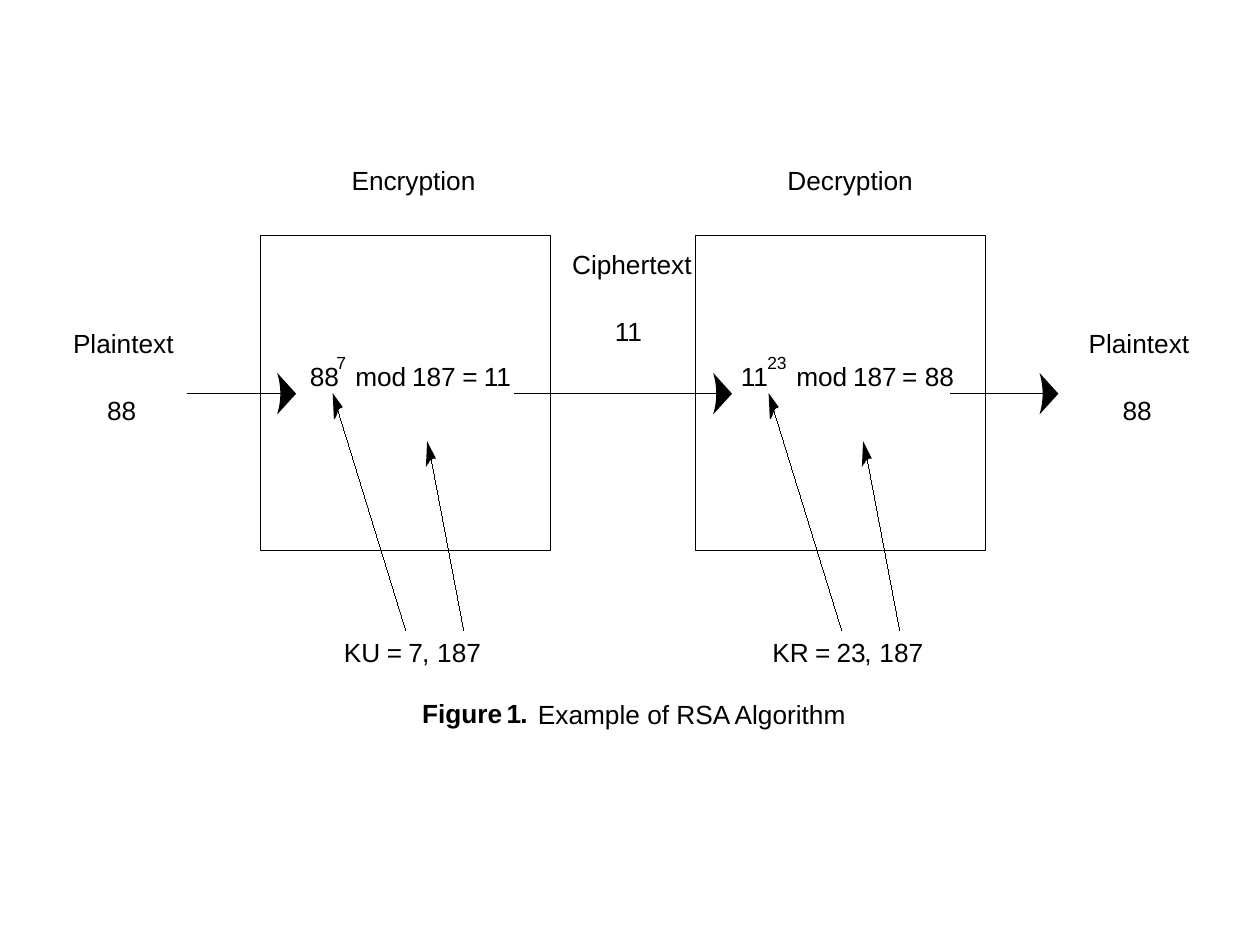
from pptx import Presentation
from pptx.dml.color import RGBColor as RGB
from pptx.enum.shapes import MSO_CONNECTOR as CONN, MSO_SHAPE as SHAPE
from pptx.enum.text import MSO_AUTO_SIZE as FIT
from pptx.oxml.ns import qn
from pptx.util import Inches, Pt
from lxml.etree import SubElement

COLORS = {"ink": "000000", "paper": "FFFFFF"}
FONT = "Arial"
STEP = 3.46
FLOW = 3.125

STEPS = [n / 8 for n in range(8, -9, -1)]
BROAD = [(-0.125 - 0.025 * t * t, 0.165 * t) for t in STEPS]
STEEP = [(0.08, 0.11), (0.07, 0.12), (0.06, 0.12), (0.05, 0.13),
         (0.04, 0.15), (0.03, 0.18), (0.02, 0.2), (0.01, 0.21)]
SLIM = [(0.07, 0.14), (0.05, 0.14), (0.03, 0.15), (0.02, 0.16),
        (0.01, 0.18), (0, 0.19), (-0.01, 0.21)]

LABELS = [
    (2.79, 1.3, 0.99, "Encryption"), (6.25, 1.3, 1, "Decryption"),
    (4.54, 1.97, 0.95, "Ciphertext"), (4.88, 2.5, 0.24, "11"),
    (0.58, 2.6, 0.8, "Plaintext"), (0.85, 3.13, 0.24, "88"),
    (8.64, 2.6, 0.8, "Plaintext"), (8.91, 3.13, 0.24, "88"),
]
ROWS = [
    (2.86, [(2.46, 0.24, "88"), (2.82, 0.46, "mod"), (3.27, 0.41, "187"),
            (3.67, 0.18, "="), (3.84, 0.24, "11")]),
    (2.86, [(5.88, 0.24, "11"), (6.32, 0.46, "mod"), (6.77, 0.41, "187"),
            (7.16, 0.18, "="), (7.34, 0.24, "88")]),
    (5.05, [(2.73, 0.35, "KU"), (3.07, 0.18, "="), (3.24, 0.12, "7"),
            (3.35, 0.12, ","), (3.47, 0.36, "187")]),
    (5.05, [(6.13, 0.35, "KR"), (6.47, 0.18, "="), (6.64, 0.24, "23"),
            (6.86, 0.12, ","), (6.98, 0.36, "187")]),
]
POWERS = [(2.67, 0.08, "7"), (6.09, 0.16, "23")]
FIGURE = [(3.35, 0.7, "Figure"), (4.02, 0.12, "1"), (4.13, 0.06, ".")]


def color(name):
    return RGB.from_string(COLORS[name])


def add_text(slide, text, x, y, w, h=0.25, size=15, bold=False):
    box = slide.shapes.add_textbox(Inches(x), Inches(y), Inches(w), Inches(h))
    frame = box.text_frame
    frame.margin_left = frame.margin_right = 0
    frame.margin_top = frame.margin_bottom = 0
    frame.word_wrap = False
    frame.auto_size = FIT.SHAPE_TO_FIT_TEXT
    run = frame.paragraphs[0].add_run()
    run.text = text
    run.font.name = FONT
    run.font.size = Pt(size)
    run.font.bold = bold
    run.font.color.rgb = color("ink")


def add_box(slide, x):
    box = slide.shapes.add_shape(
        SHAPE.RECTANGLE, Inches(x), Inches(1.87), Inches(2.3), Inches(2.5))
    box.shadow.inherit = False
    box.fill.solid()
    box.fill.fore_color.rgb = color("paper")
    box.line.color.rgb = color("ink")
    box.line.width = Pt(0)


def add_line(slide, x1, y1, x2, y2):
    line = slide.shapes.add_connector(
        CONN.STRAIGHT, Inches(x1), Inches(y1), Inches(x2), Inches(y2))
    line.line.color.rgb = color("ink")
    line.line.width = Pt(0)
    SubElement(line._element.spPr, qn("a:effectLst"))
    line._element.remove(line._element.find(qn("p:style")))


def add_head(slide, x, y, edge):
    pen = slide.shapes.build_freeform(Inches(x), Inches(y))
    pen.add_line_segments(
        [(Inches(x + dx), Inches(y + dy)) for dx, dy in edge], close=True)
    head = pen.convert_to_shape()
    head.shadow.inherit = False
    head.fill.solid()
    head.fill.fore_color.rgb = color("ink")
    head.line.fill.background()


def add_flow(slide, start, tip):
    add_line(slide, start, FLOW, tip - 0.11, FLOW)
    add_head(slide, tip, FLOW, BROAD)


def add_keys(slide, dx):
    add_line(slide, 2.68 + dx, 3.25, 3.22 + dx, 5)
    add_head(slide, 2.64 + dx, 3.12, STEEP)
    add_line(slide, 3.42 + dx, 3.63, 3.68 + dx, 5)
    add_head(slide, 3.39 + dx, 3.5, SLIM)


def main():
    deck = Presentation()
    deck.slide_width, deck.slide_height = Inches(10), Inches(7.5)
    slide = deck.slides.add_slide(deck.slide_layouts[6])
    for x in (2.07, 5.52):
        add_box(slide, x)
    for start, tip in ((1.49, 2.35), (4.08, 5.81), (7.54, 8.4)):
        add_flow(slide, start, tip)
    for x, y, w, text in LABELS:
        add_text(slide, text, x, y, w)
    for y, parts in ROWS:
        for x, w, text in parts:
            add_text(slide, text, x, y, w)
    for x, w, text in POWERS:
        add_text(slide, text, x, 2.79, w, h=0.17, size=10)
    for dx in (0, STEP):
        add_keys(slide, dx)
    for x, w, text in FIGURE:
        add_text(slide, text, x, 5.53, w, bold=True)
    add_text(slide, "Example of RSA Algorithm", 4.27, 5.54, 2.47)
    deck.save("out.pptx")


if __name__ == "__main__":
    main()
